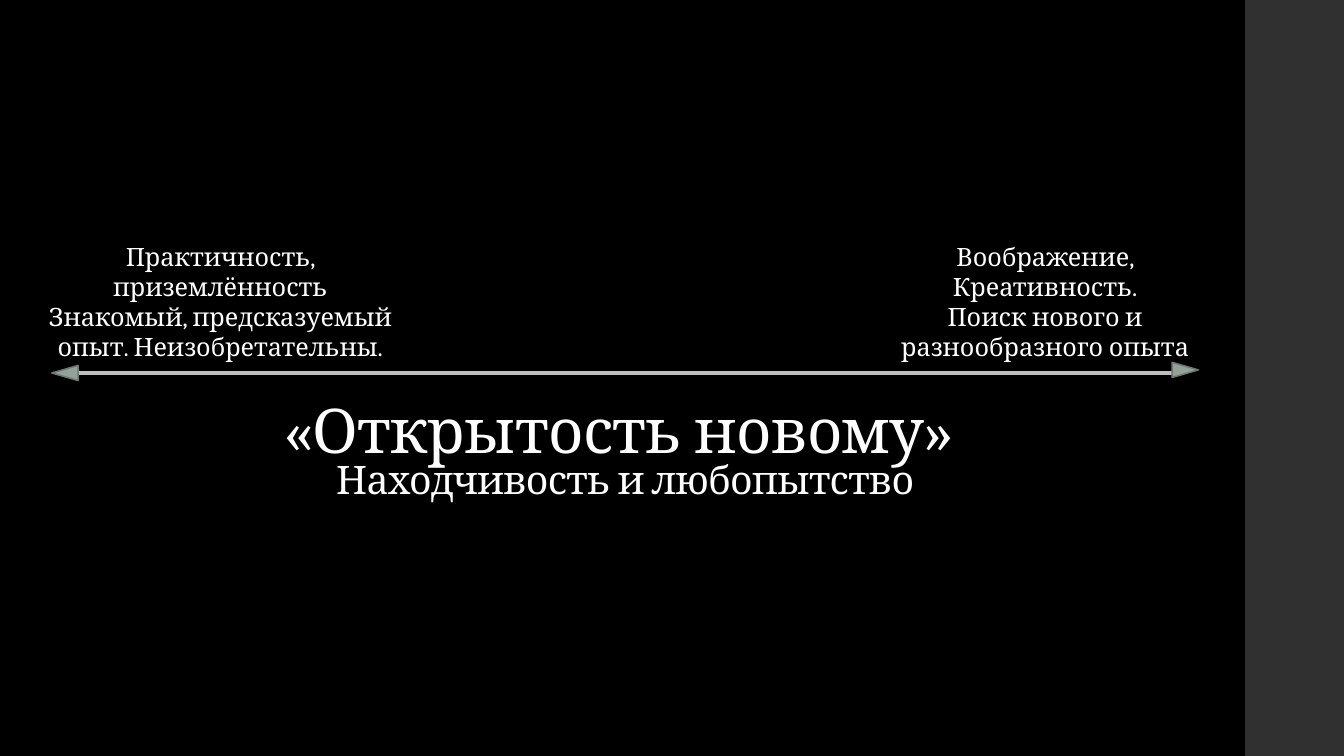
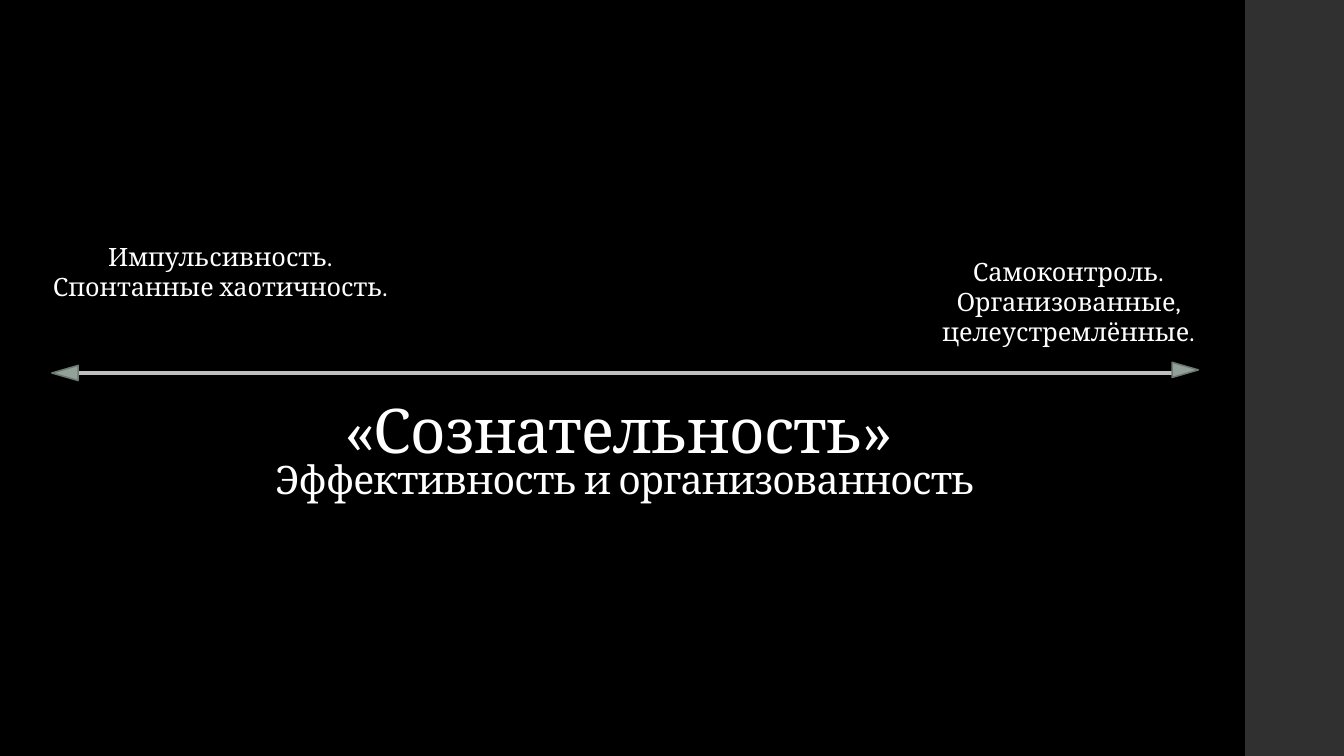
from pptx import Presentation
from pptx import util as u
from pptx.dml.color import RGBColor
from pptx.enum import shapes, text
from pptx.oxml.ns import qn
from lxml import etree

SCALE = 9144


def px(n):
    """Turn whole px, 100 to the inch, into EMU."""
    return u.Emu(n * SCALE)


def paint(part, tone):
    """Give a fill or line one solid colour."""
    part.solid()
    part.fore_color.rgb = RGBColor.from_string(tone)


class Deck:
    """Hold the shared style and the current slide."""

    font = "Cambria"
    back, band, ink = "000000", "303030", "FFFFFF"
    rule, tip, edge = "BFBFBF", "93A299", "6D7871"
    wide, high = 1333, 750

    def __init__(self):
        """Start an empty deck."""
        self.prs = Presentation()
        self.prs.slide_width = px(self.wide)
        self.prs.slide_height = px(self.high)

    def page(self):
        """Add a slide with the dark ground and side band."""
        self.slide = self.prs.slides.add_slide(self.prs.slide_layouts[6])
        paint(self.slide.background.fill, self.back)
        self.shape(shapes.MSO_SHAPE.RECTANGLE, 1235, 0, self.wide - 1235, self.high, self.band)

    def shape(self, kind, x, y, w, h, fill, edge=None, turn=0):
        """Add a filled preset shape."""
        item = self.slide.shapes.add_shape(kind, px(x), px(y), px(w), px(h))
        item.shadow.inherit = False
        item.rotation = turn
        paint(item.fill, fill)
        if edge:
            paint(item.line.fill, edge)
            item.line.width = u.Pt(1.1)
        else:
            item.line.fill.background()

    def text(self, x, y, w, h, lines, size=18):
        """Add centred text, one paragraph a line."""
        box = self.slide.shapes.add_textbox(px(x), px(y), px(w), px(h))
        frame = box.text_frame
        frame.word_wrap = True
        for i, line in enumerate(lines):
            para = frame.paragraphs[0] if i == 0 else frame.add_paragraph()
            para.alignment = text.PP_ALIGN.CENTER
            run = para.add_run()
            run.text = line
            run.font.name = self.font
            run.font.size = u.Pt(size)
            run.font.color.rgb = RGBColor.from_string(self.ink)
        return frame

    def head(self, y, line, size):
        """Add a tight heading that sits on its box's base."""
        frame = self.text(90, y, 1060, 111, [line], size)
        frame.vertical_anchor = text.MSO_ANCHOR.BOTTOM
        para = frame.paragraphs[0]
        para.line_spacing = 0.9
        para.runs[0].font._element.set("spc", "-50")

    def axis(self):
        """Add the scale line with a tip at each end."""
        line = self.slide.shapes.add_connector(
            shapes.MSO_CONNECTOR.STRAIGHT, px(65), px(370), px(1168), px(370))
        paint(line.line.fill, self.rule)
        line.line.width = u.Pt(3)
        etree.SubElement(line._element.spPr, qn("a:effectLst"))
        for x, y, turn in ((1168, 354, 90), (57, 357, 270)):
            self.shape(shapes.MSO_SHAPE.ISOSCELES_TRIANGLE, x, y, 15, 26,
                       self.tip, self.edge, turn)

    def trait(self, name, note, low, high, x, y):
        """Build one slide for a trait and its two poles."""
        self.page()
        self.head(357, name, 44)
        self.text(x, y, 379, 101, high)
        self.axis()
        self.text(17, 234, 403, 101, low)
        self.head(393, note, 28)


def main():
    """Build and save the deck."""
    deck = Deck()
    deck.trait("«Открытость новому» ", "Находчивость и любопытство",
               ["Практичность, приземлённость",
                "Знакомый, предсказуемый опыт. Неизобретательны."],
               ["Воображение, Креативность.",
                "Поиск нового и разнообразного опыта"], 847, 234)
    deck.trait("«Сознательность» ", "Эффективность и организованность",
               ["Импульсивность.", "Спонтанные хаотичность."],
               ["Самоконтроль.", "Организованные, целеустремлённые."], 870, 249)
    deck.prs.save("out.pptx")


if __name__ == "__main__":
    main()
